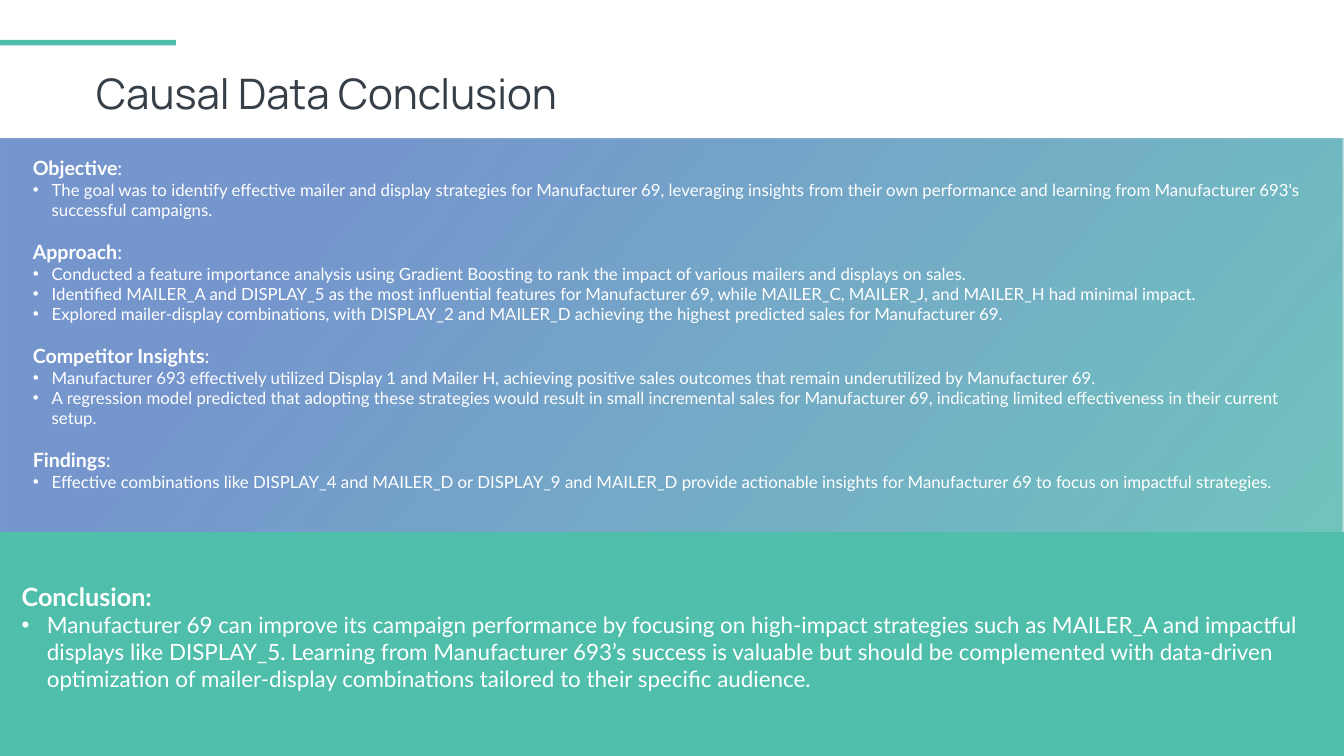
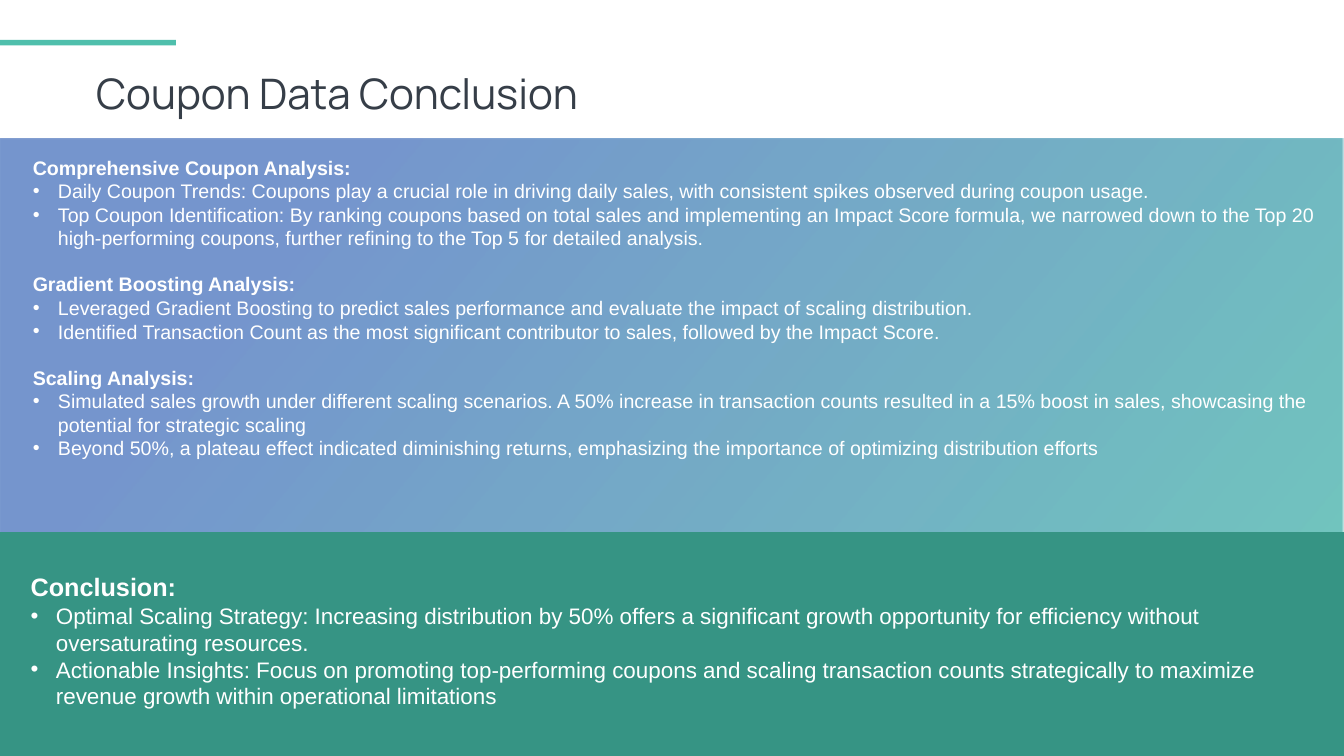
from dataclasses import dataclass

import pptx
import pptx.dml.color
import pptx.enum.shapes
import pptx.enum.text
import pptx.oxml.ns
import pptx.presentation
import pptx.shapes.autoshape
import pptx.slide
import pptx.text.text
import pptx.util
from lxml import etree

Pt = pptx.util.Pt
RGB = pptx.dml.color.RGBColor.from_string
qn = pptx.oxml.ns.qn


@dataclass(frozen=True)
class Theme:
    teal: str = "4FBFAC"
    deep_teal: str = "369484"
    blue: str = "557DC2"
    ink: str = "363E48"
    white: str = "FFFFFF"
    title_font: str = "Manrope"
    title_size: float = 60
    heading_size: float = 28
    conclusion_heading_size: float = 36
    conclusion_size: float = 32


@dataclass(frozen=True)
class Box:
    left: float
    top: float
    width: float
    height: float


@dataclass(frozen=True)
class TextStyle:
    font: str
    heading_size: float
    bullet_size: float
    indent: float
    section_gap: float = 0


@dataclass(frozen=True)
class Section:
    heading: str
    bullets: tuple[str, ...]
    plain_ending: str = ""


@dataclass(frozen=True)
class ConclusionSlide:
    title: str
    sections: tuple[Section, ...]
    section_style: TextStyle
    sections_box: Box
    conclusion: Section
    conclusion_box: Box
    band_color: str


THEME = Theme()
SLIDE_WIDTH, SLIDE_HEIGHT = 1919.5, 1080
ACCENT = Box(0, 56.9, 251.3, 7.9)
TITLE = Box(130.3, 92.2, 777.6, 79.9)
BACKDROP = Box(0, 198.7, SLIDE_WIDTH, SLIDE_HEIGHT - 198.7)
BAND = Box(0, 760.3, SLIDE_WIDTH, SLIDE_HEIGHT - 760.3)
DEFAULT_MARGINS = (7.2, 3.6)
SECTION_MARGINS = (17.28, 8.64)
CONCLUSION_TOP_MARGIN = 42

SLIDES = (
    ConclusionSlide(
        title="Causal Data Conclusion",
        sections=(
            Section("Objective", (
                "The goal was to identify effective mailer and display strategies for Manufacturer 69, "
                "leveraging insights from their own performance and learning from Manufacturer 693's "
                "successful campaigns.",
            ), ":"),
            Section("Approach", (
                "Conducted a feature importance analysis using Gradient Boosting to rank the impact of "
                "various mailers and displays on sales.",
                "Identified MAILER_A and DISPLAY_5 as the most influential features for Manufacturer 69, "
                "while MAILER_C, MAILER_J, and MAILER_H had minimal impact.",
                "Explored mailer-display combinations, with DISPLAY_2 and MAILER_D achieving the highest "
                "predicted sales for Manufacturer 69.",
            ), ":"),
            Section("Competitor Insights", (
                "Manufacturer 693 effectively utilized Display 1 and Mailer H, achieving positive sales "
                "outcomes that remain underutilized by Manufacturer 69.",
                "A regression model predicted that adopting these strategies would result in small "
                "incremental sales for Manufacturer 69, indicating limited effectiveness in their "
                "current setup.",
            ), ":"),
            Section("Findings", (
                "Effective combinations like DISPLAY_4 and MAILER_D or DISPLAY_9 and MAILER_D provide "
                "actionable insights for Manufacturer 69 to focus on impactful strategies.",
            ), ":"),
        ),
        section_style=TextStyle("Lato", THEME.heading_size, 24, 27, 28.8),
        sections_box=Box(29.5, 213.8, 1866.2, 531.4),
        conclusion=Section("Conclusion:", (
            "Manufacturer 69 can improve its campaign performance by focusing on high-impact strategies "
            "such as MAILER_A and impactful displays like DISPLAY_5. Learning from Manufacturer 693’s "
            "success is valuable but should be complemented with data-driven optimization of "
            "mailer-display combinations tailored to their specific audience.",
        )),
        conclusion_box=Box(23.8, 788.4, 1866.2, 205.9),
        band_color=THEME.teal,
    ),
    ConclusionSlide(
        title="Coupon Data Conclusion",
        sections=(
            Section("Comprehensive Coupon Analysis:", (
                "Daily Coupon Trends: Coupons play a crucial role in driving daily sales, with consistent "
                "spikes observed during coupon usage.",
                "Top Coupon Identification: By ranking coupons based on total sales and implementing an "
                "Impact Score formula, we narrowed down to the Top 20 high-performing coupons, further "
                "refining to the Top 5 for detailed analysis.",
            )),
            Section("Gradient Boosting Analysis:", (
                "Leveraged Gradient Boosting to predict sales performance and evaluate the impact of "
                "scaling distribution.",
                "Identified Transaction Count as the most significant contributor to sales, followed by "
                "the Impact Score.",
            )),
            Section("Scaling Analysis:", (
                "Simulated sales growth under different scaling scenarios. A 50% increase in transaction "
                "counts resulted in a 15% boost in sales, showcasing the potential for strategic scaling",
                "Beyond 50%, a plateau effect indicated diminishing returns, emphasizing the importance "
                "of optimizing distribution efforts",
            )),
        ),
        section_style=TextStyle("Arial", THEME.heading_size, 28, 36, 32.2),
        sections_box=Box(29.5, 213.8, 1866.2, 492.5),
        conclusion=Section("Conclusion:", (
            "Optimal Scaling Strategy: Increasing distribution by 50% offers a significant growth "
            "opportunity for efficiency without oversaturating resources.",
            "Actionable Insights: Focus on promoting top-performing coupons and scaling transaction "
            "counts strategically to maximize revenue growth within operational limitations",
        )),
        conclusion_box=Box(36.7, 774.7, 1866.2, 244.8),
        band_color=THEME.deep_teal,
    ),
)


def place(box: Box) -> tuple[int, ...]:
    return tuple(Pt(length) for length in (box.left, box.top, box.width, box.height))


def add_panel(slide: pptx.slide.Slide, box: Box) -> pptx.shapes.autoshape.Shape:
    """Add a rectangle with neither outline nor shadow, ready to be filled."""
    panel = slide.shapes.add_shape(pptx.enum.shapes.MSO_SHAPE.RECTANGLE, *place(box))
    panel.shadow.inherit = False
    panel.line.fill.background()
    return panel


def add_solid_panel(slide: pptx.slide.Slide, box: Box, color: str) -> None:
    panel = add_panel(slide, box)
    panel.fill.solid()
    panel.fill.fore_color.rgb = RGB(color)


def add_backdrop(slide: pptx.slide.Slide) -> None:
    """Add the translucent fade from teal at bottom right to blue at top left."""
    backdrop = add_panel(slide, BACKDROP)
    backdrop.fill.gradient()
    backdrop.fill.gradient_angle = 140
    stops = zip(backdrop.fill.gradient_stops, ((THEME.teal, 0), (THEME.blue, 0.79)))
    for stop, (color, position) in stops:
        stop.color.rgb = RGB(color)
        stop.position = position
    for color_element in backdrop.element.spPr.iter(qn("a:srgbClr")):
        etree.SubElement(color_element, qn("a:alpha"), val="80000")


def add_text_frame(
    slide: pptx.slide.Slide, box: Box, margins: tuple[float, float] = DEFAULT_MARGINS
) -> pptx.text.text.TextFrame:
    frame = slide.shapes.add_textbox(*place(box)).text_frame
    frame.word_wrap = True
    frame.auto_size = pptx.enum.text.MSO_AUTO_SIZE.SHAPE_TO_FIT_TEXT
    frame.margin_left = frame.margin_right = Pt(margins[0])
    frame.margin_top = frame.margin_bottom = Pt(margins[1])
    return frame


def set_font(
    paragraph: pptx.text.text._Paragraph, name: str, size: float, color: str, bold: bool = False
) -> None:
    font = paragraph.font
    font.name, font.size, font.bold = name, Pt(size), bold
    font.color.rgb = RGB(color)


def add_bullet_mark(paragraph: pptx.text.text._Paragraph, indent: float) -> None:
    properties = paragraph._p.get_or_add_pPr()
    properties.set("marL", str(Pt(indent)))
    properties.set("indent", str(-Pt(indent)))
    etree.SubElement(properties, qn("a:buFont"), typeface="Arial")
    etree.SubElement(properties, qn("a:buChar"), char="•")


def write_sections(
    frame: pptx.text.text.TextFrame, sections: tuple[Section, ...], style: TextStyle
) -> None:
    for number, section in enumerate(sections):
        heading = frame.add_paragraph() if number else frame.paragraphs[0]
        if number:
            heading.space_before = Pt(style.section_gap)
        heading.add_run().text = section.heading
        set_font(heading, style.font, style.heading_size, THEME.white, bold=True)
        if section.plain_ending:
            ending = heading.add_run()
            ending.text = section.plain_ending
            ending.font.bold = False
        for point in section.bullets:
            bullet = frame.add_paragraph()
            bullet.text = point
            add_bullet_mark(bullet, style.indent)
            set_font(bullet, style.font, style.bullet_size, THEME.white)


def add_title(slide: pptx.slide.Slide, title: str) -> None:
    heading = add_text_frame(slide, TITLE).paragraphs[0]
    heading.text = title
    set_font(heading, THEME.title_font, THEME.title_size, THEME.ink)


def build_slide(deck: pptx.presentation.Presentation, content: ConclusionSlide) -> None:
    slide = deck.slides.add_slide(deck.slide_layouts[6])
    add_backdrop(slide)
    add_title(slide, content.title)
    add_solid_panel(slide, ACCENT, THEME.teal)
    add_solid_panel(slide, BAND, content.band_color)

    findings = add_text_frame(slide, content.sections_box, SECTION_MARGINS)
    write_sections(findings, content.sections, content.section_style)

    conclusion = add_text_frame(slide, content.conclusion_box)
    conclusion.margin_top = Pt(CONCLUSION_TOP_MARGIN)
    conclusion_style = TextStyle(
        content.section_style.font, THEME.conclusion_heading_size, THEME.conclusion_size, 36
    )
    write_sections(conclusion, (content.conclusion,), conclusion_style)


def main() -> None:
    deck = pptx.Presentation()
    deck.slide_width, deck.slide_height = Pt(SLIDE_WIDTH), Pt(SLIDE_HEIGHT)
    for content in SLIDES:
        build_slide(deck, content)
    deck.save("out.pptx")


if __name__ == "__main__":
    main()
